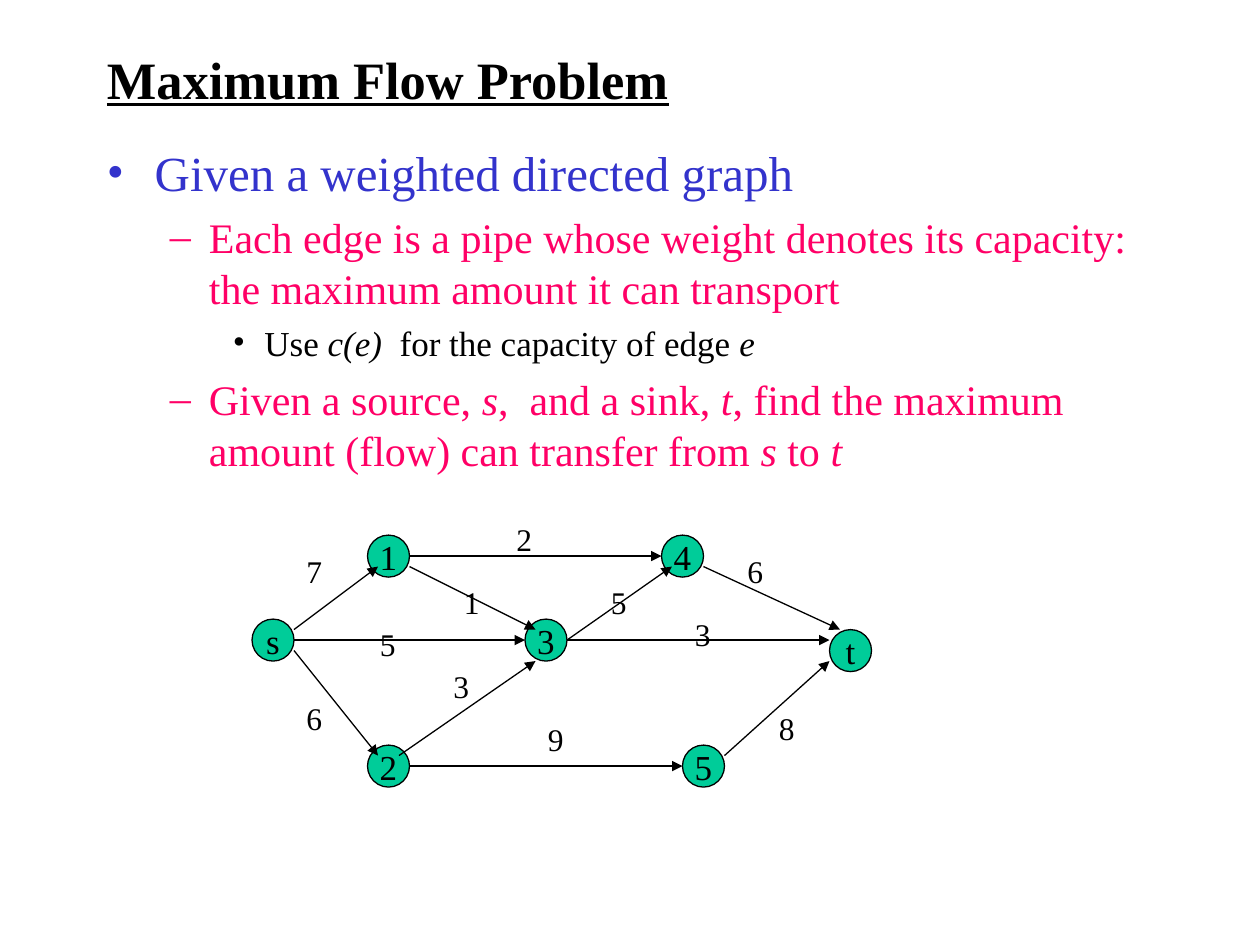
from pptx import Presentation, util as u
from pptx.dml.color import RGBColor
from pptx.enum import shapes as es, text as et
from pptx.oxml import parse_xml
from pptx.oxml.ns import nsdecls

FONT = "Times New Roman"
HUE = dict(ink="000000", head="3333CC", sub="FF0066", node="00CC99")
UNIT = 1 / 12  # grid step of the graph, in inches

# level: size, colour, space before, left, indent, bullet
LEVELS = [
    (28, "head", 7, 0.38, -0.38, "•"),
    (24, "sub", 6, 0.81, -0.31, "–"),
    (20, "ink", 5, 1.25, -0.25, "•"),
]
# Asterisks enclose italic words
POINTS = [
    (0, "Given a weighted directed graph"),
    (1, "Each edge is a pipe whose weight denotes its capacity: "
        "the maximum amount it can transport"),
    (2, "Use *c(e)*  for the capacity of edge *e*"),
    (1, "Given a source, *s*,  and a sink, *t*, find the maximum "
        "amount (flow) can transfer from *s* to *t*"),
]
# Graph places in grid steps from its corner
NODES = [("s", 0, 10), ("1", 11, 2), ("4", 39, 2), ("3", 26, 10),
         ("2", 11, 22), ("5", 41, 22), ("t", 55, 11)]
# start x, y, end x, y, weight, label x, y
EDGES = [
    (4, 11, 12, 5, "7", 4, 3), (4, 13, 12, 23, "6", 4, 17),
    (4, 12, 26, 12, "5", 11, 10), (15, 24, 41, 24, "9", 27, 19),
    (15, 4, 39, 4, "2", 24, 0), (15, 5, 27, 11, "1", 19, 6),
    (30, 12, 40, 5, "5", 33, 6), (14, 23, 27, 14, "3", 18, 14),
    (30, 12, 55, 12, "3", 41, 9), (43, 5, 56, 11, "6", 46, 3),
    (45, 23, 55, 14, "8", 49, 18),
]


def paint(hue):
    return RGBColor.from_string(HUE[hue])


def write(para, words, size, hue="ink", **style):
    run = para.add_run()
    run.text = words
    run.font.color.rgb = paint(hue)
    for key, val in dict(style, name=FONT, size=u.Pt(size)).items():
        setattr(run.font, key, val)


def add_box(slide, x, y, w, h, wrap=True):
    frame = slide.shapes.add_textbox(*map(u.Inches, (x, y, w, h))).text_frame
    frame.word_wrap = wrap
    return frame


def add_title(slide, x, y, w, h):
    frame = add_box(slide, x, y, w, h)
    frame.vertical_anchor = et.MSO_ANCHOR.MIDDLE
    write(frame.paragraphs[0], "Maximum Flow Problem", 30,
          bold=True, underline=True)


def add_points(slide, x, y, w, h):
    frame = add_box(slide, x, y, w, h)
    for num, (level, words) in enumerate(POINTS):
        size, hue, gap, left, indent, mark = LEVELS[level]
        para = frame.add_paragraph() if num else frame.paragraphs[0]
        para.level = level
        para.space_before = u.Pt(gap)
        props = para._p.get_or_add_pPr()
        props.set("marL", str(u.Inches(left)))
        props.set("indent", str(u.Inches(indent)))
        for part in (f'<a:buClr {nsdecls("a")}><a:srgbClr val="{HUE[hue]}"/></a:buClr>',
                     f'<a:buFont {nsdecls("a")} typeface="{FONT}"/>',
                     f'<a:buChar {nsdecls("a")} char="{mark}"/>'):
            props.append(parse_xml(part))
        for pos, piece in enumerate(words.split("*")):
            if piece:
                write(para, piece, size, hue, italic=pos % 2 == 1)


def add_node(slide, name, x, y):
    side = u.Inches(4 * UNIT)
    node = slide.shapes.add_shape(es.MSO_SHAPE.OVAL, u.Inches(x), u.Inches(y),
                                  side, side)
    node.shadow.inherit = False
    node.fill.solid()
    node.fill.fore_color.rgb = paint("node")
    node.line.color.rgb = paint("ink")
    node.line.width = u.Pt(0.74)
    frame = node.text_frame
    frame.word_wrap = False
    frame.vertical_anchor = et.MSO_ANCHOR.MIDDLE
    para = frame.paragraphs[0]
    para.alignment = et.PP_ALIGN.CENTER
    write(para, name, 20)


def add_arrow(slide, *ends):
    arrow = slide.shapes.add_connector(es.MSO_CONNECTOR.STRAIGHT,
                                       *map(u.Inches, ends))
    arrow.line.color.rgb = paint("ink")
    arrow.line.width = u.Pt(0.74)
    arrow.line._get_or_add_ln().append(
        parse_xml(f'<a:tailEnd {nsdecls("a")} type="triangle"/>'))
    arrow._element.spPr.append(parse_xml(f'<a:effectLst {nsdecls("a")}/>'))


def add_graph(slide, left, top):
    def place(x, y):
        return left + x * UNIT, top + y * UNIT

    for name, x, y in NODES:
        add_node(slide, name, *place(x, y))
    for x1, y1, x2, y2, *_ in EDGES:
        add_arrow(slide, *place(x1, y1), *place(x2, y2))
    # Weights lie over the arrows
    for *_, weight, x, y in EDGES:
        frame = add_box(slide, *place(x, y), 0.32, 0.4, wrap=False)
        write(frame.paragraphs[0], weight, 18)


deck = Presentation()
deck.slide_width, deck.slide_height = u.Inches(10), u.Inches(7.5)
slide = deck.slides.add_slide(deck.slide_layouts[6])
add_title(slide, 0.75, 0.33, 6.75, 0.58)
add_points(slide, 0.75, 1.08, 8.5, 5.58)
add_graph(slide, 2, 4.08)
deck.save("out.pptx")
